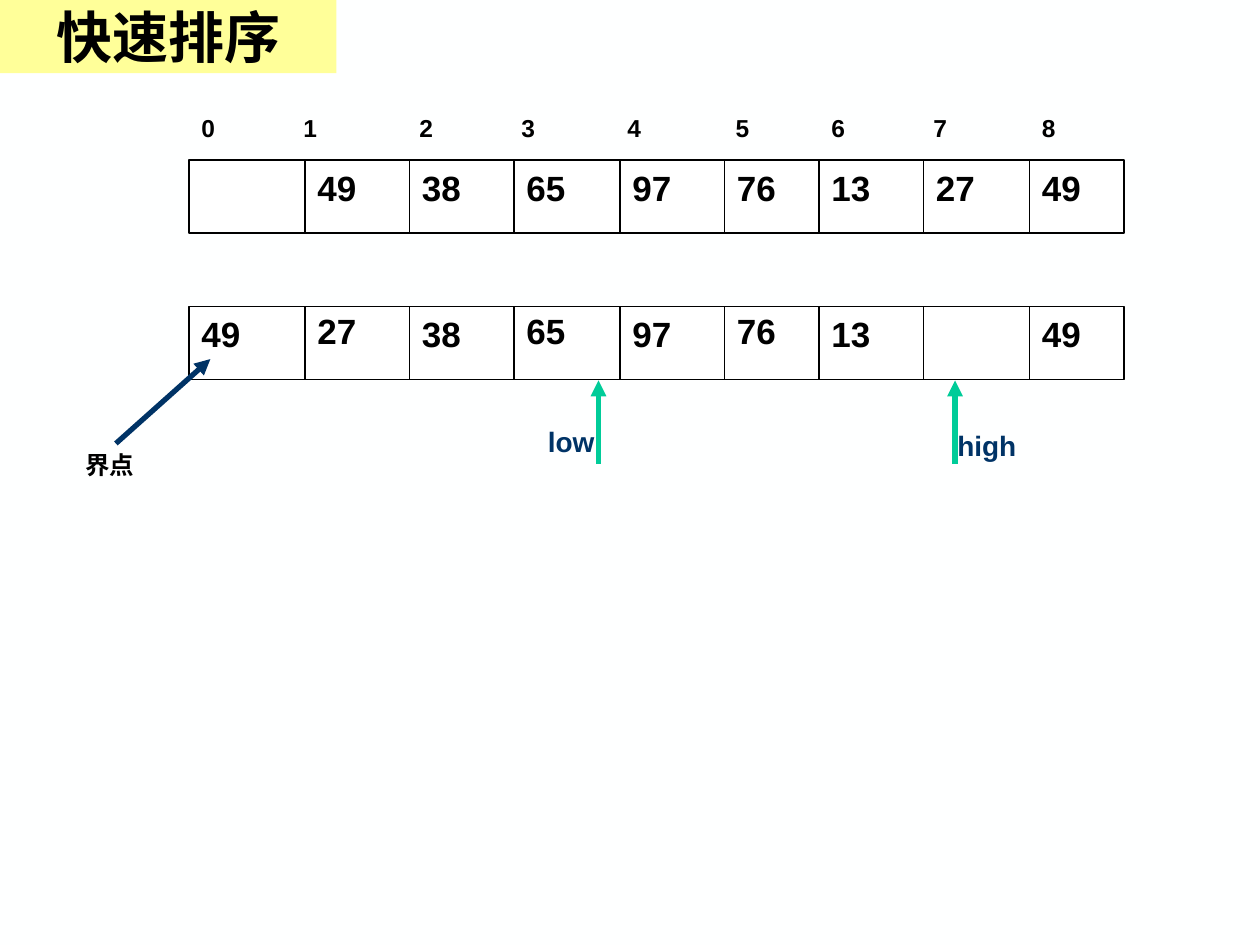
from lxml.etree import SubElement
from pptx import Presentation
from pptx.dml.color import RGBColor
from pptx.enum.shapes import MSO_CONNECTOR as Connector, MSO_SHAPE as Shape
from pptx.enum.text import MSO_ANCHOR as Anchor, MSO_AUTO_SIZE as AutoSize, PP_ALIGN as Align
from pptx.oxml.ns import qn
from pptx.util import Inches, Pt

color = RGBColor.from_string


def add_text(shapes, text, left, top, width, height, size, font_color="000000", tabs=()):
    box = shapes.add_textbox(Inches(left), Inches(top), Inches(width), Inches(height))
    frame = box.text_frame
    for name, value in {"word_wrap": True, "auto_size": AutoSize.SHAPE_TO_FIT_TEXT}.items():
        setattr(frame, name, value)
    paragraph = frame.paragraphs[0]
    if tabs:
        tab_list = SubElement(paragraph._p.get_or_add_pPr(), qn("a:tabLst"))
        for position in tabs:
            SubElement(tab_list, qn("a:tab"), pos=str(Inches(position)), algn="l")
    run = paragraph.add_run()
    run.text = text
    for name, value in {"name": "Arial", "size": Pt(size), "bold": True}.items():
        setattr(run.font, name, value)
    run.font.color.rgb = color(font_color)


def add_line(shapes, start, end, line_color="000000", width=0.75, arrow=False):
    line = shapes.add_connector(Connector.STRAIGHT, *map(Inches, start + end))
    line.line.color.rgb = color(line_color)
    line.line.width = Pt(width)
    if arrow:
        SubElement(line.line._get_or_add_ln(), qn("a:tailEnd"), type="triangle")
    SubElement(line._element.spPr, qn("a:effectLst"))


presentation = Presentation()
presentation.slide_width, presentation.slide_height = Inches(10), Inches(7.5)
slide = presentation.slides.add_slide(presentation.slide_layouts[6])
slide.background.fill.solid()
slide.background.fill.fore_color.rgb = color("FEFFFF")

column_lefts = [1.5, 2.42, 3.25, 4.08, 4.92, 5.75, 6.5, 7.33, 8.17]
row_width, row_height = 7.42, 0.58
initial_row = (1.27, ["", "49", "38", "65", "97", "76", "13", "27", "49"], [])
current_row = (2.43, ["49", "27", "38", "65", "97", "76", "13", "", "49"], [1, 3, 5])

for top, values, raised_columns in (current_row, initial_row):
    row = slide.shapes.add_group_shape()
    frame = row.shapes.add_shape(
        Shape.RECTANGLE, Inches(column_lefts[0]), Inches(top), Inches(row_width), Inches(row_height))
    frame.shadow.inherit = False
    frame.fill.solid()
    frame.fill.fore_color.rgb = color("FFFFFF")
    frame.line.color.rgb = color("000000")
    frame.line.width = Pt(0.75)
    for left in column_lefts[1:]:
        add_line(row.shapes, (left, top), (left, top + row_height))
    for column, (left, value) in enumerate(zip(column_lefts, values)):
        if value:
            text_top = top - 0.02 if column in raised_columns else top
            add_text(slide.shapes, value, left, text_top, 0.67, 0.44, 20)

index_tabs = [0.81, 1.73, 2.54, 3.38, 4.24, 5, 5.81, 6.67]
add_text(slide.shapes, "\t".join(map(str, range(9))), 1.5, 0.85, row_width, 0.34, 14, tabs=index_tabs)

for name, arrow_left, label_left, label_top in (("high", 7.58, 7.5, 3.35), ("low", 4.75, 4.25, 3.32)):
    pointer = slide.shapes.add_group_shape()
    add_line(pointer.shapes, (arrow_left, 3.68), (arrow_left, 3.02), "00CC99", 3, arrow=True)
    add_text(pointer.shapes, name, label_left, label_top, 0.92, 0.37, 16, "003366")

add_text(slide.shapes, "界点", 0.58, 3.52, 0.83, 0.34, 14)
add_line(slide.shapes, (0.92, 3.52), (1.67, 2.85), "003366", 3, arrow=True)

title = slide.shapes.add_shape(Shape.RECTANGLE, 0, 0, Inches(2.67), Inches(0.58))
title.shadow.inherit = False
title.fill.solid()
title.fill.fore_color.rgb = color("FFFF99")
title.line.fill.background()
title.text_frame.vertical_anchor = Anchor.MIDDLE
paragraph = title.text_frame.paragraphs[0]
paragraph.alignment = Align.CENTER
run = paragraph.add_run()
run.text = "快速排序"
for name, value in {"name": "Times New Roman", "size": Pt(32), "bold": True}.items():
    setattr(run.font, name, value)
run.font.color.rgb = color("000000")

presentation.save("out.pptx")
